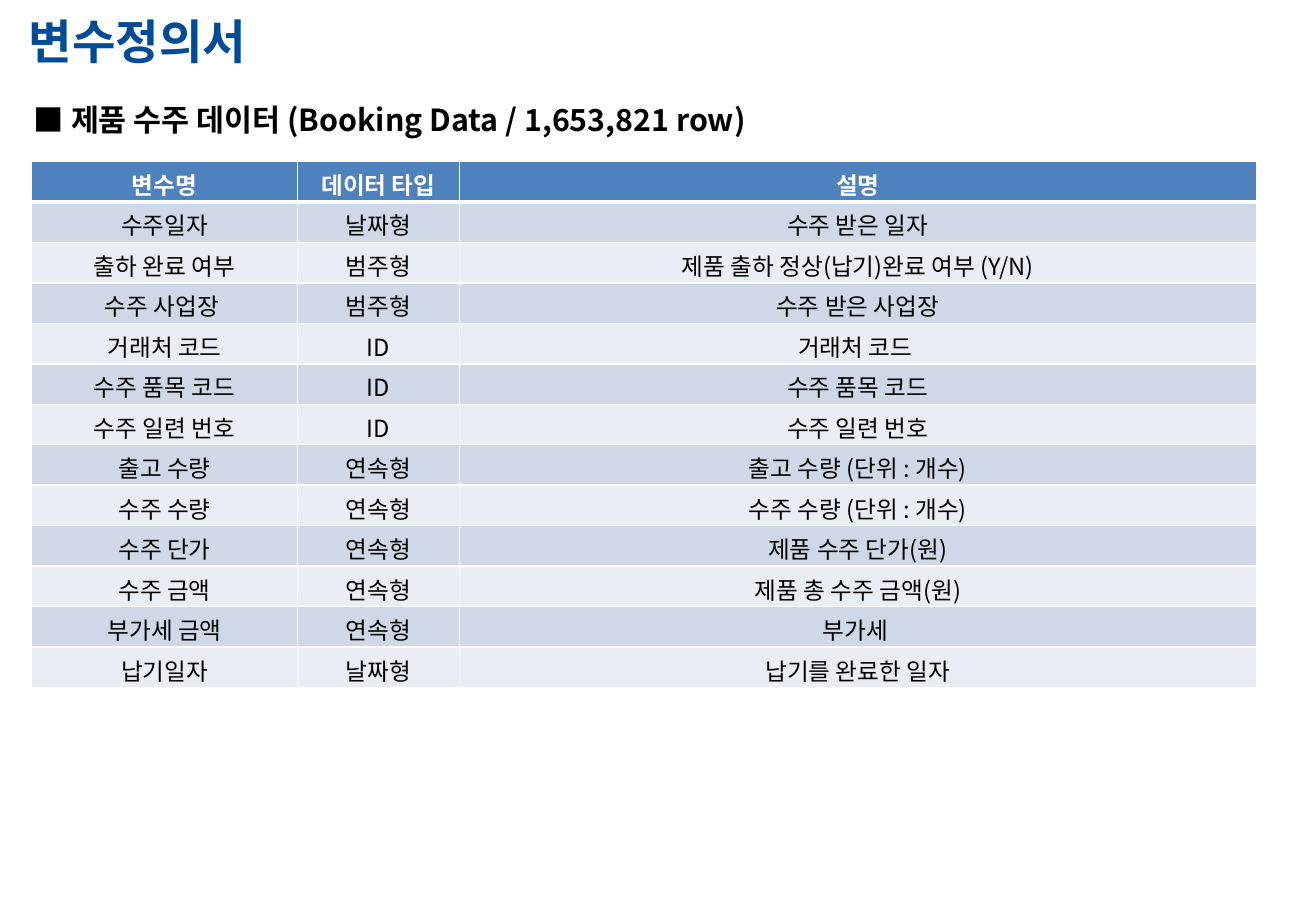
import lxml.etree
import pptx
import pptx.dml.color
import pptx.enum.text
import pptx.oxml.ns
import pptx.util

Inches = pptx.util.Inches
FONT = "Noto Sans CJK KR"
COLUMN_WIDTHS = [2.19, 1.33, 6.56]
VARIABLES = [
    ("변수명", "데이터 타입", "설명"),
    ("수주일자", "날짜형", "수주 받은 일자"),
    ("출하 완료 여부", "범주형", "제품 출하 정상(납기)완료 여부 (Y/N)"),
    ("수주 사업장 ", "범주형", "수주 받은 사업장"),
    ("거래처 코드", "ID", "거래처 코드 "),
    ("수주 품목 코드", "ID", "수주 품목 코드"),
    ("수주 일련 번호", "ID", "수주 일련 번호"),
    ("출고 수량", "연속형", "출고 수량 (단위 : 개수)"),
    ("수주 수량", "연속형", "수주 수량 (단위 : 개수)"),
    ("수주 단가", "연속형", "제품 수주 단가(원)"),
    ("수주 금액", "연속형", "제품 총 수주 금액(원)"),
    ("부가세 금액", "연속형", "부가세 "),
    ("납기일자", "날짜형", "납기를 완료한 일자"),
]


def rgb(color):
    return pptx.dml.color.RGBColor.from_string(color)


def add_element(parent, tag, **attributes):
    return lxml.etree.SubElement(parent, pptx.oxml.ns.qn(tag), **attributes)


def write(tf, text, size, color, bold):
    tf.vertical_anchor = pptx.enum.text.MSO_ANCHOR.MIDDLE
    p = tf.paragraphs[0]
    p.add_run().text = text
    p.font.name = FONT
    p.font.size = pptx.util.Pt(size)
    p.font.bold = bold
    p.font.color.rgb = rgb(color)
    default = p._p.pPr.find(pptx.oxml.ns.qn("a:defRPr"))
    add_element(default, "a:ea", typeface=FONT)
    return p


def add_heading(slide, box, text, size, color):
    tf = slide.shapes.add_textbox(*map(Inches, box)).text_frame
    tf.word_wrap = True
    tf.margin_top = tf.margin_bottom = 0
    write(tf, text, size, color, True)


def set_borders(cell, top, bottom):
    tcPr = cell._tc.get_or_add_tcPr()
    for side, width in (("L", 1), ("R", 1), ("T", top), ("B", bottom)):
        line = add_element(tcPr, "a:ln" + side, w=str(pptx.util.Pt(width)))
        fill = add_element(line, "a:solidFill")
        add_element(fill, "a:srgbClr", val="FFFFFF")


def fill_cell(cell, text, row):
    header = row == 0
    set_borders(cell, 3 if row == 1 else 1, 3 if header else 1)
    cell.fill.solid()
    cell.fill.fore_color.rgb = rgb(
        "4F81BD" if header else "D0D8E8" if row % 2 else "E9EDF4")
    cell.margin_top = Inches(0.04)
    cell.margin_bottom = 0
    cell.vertical_anchor = pptx.enum.text.MSO_ANCHOR.MIDDLE
    p = write(cell.text_frame, text, 14, "FFFFFF" if header else "000000", header)
    p.alignment = pptx.enum.text.PP_ALIGN.CENTER


def add_variable_table(slide, box):
    table = slide.shapes.add_table(
        len(VARIABLES), len(COLUMN_WIDTHS), *map(Inches, box)).table
    for column, width in zip(table.columns, COLUMN_WIDTHS):
        column.width = Inches(width)
    for i, values in enumerate(VARIABLES):
        table.rows[i].height = Inches(box[3] / len(VARIABLES))
        for j, text in enumerate(values):
            fill_cell(table.cell(i, j), text, i)


def main():
    prs = pptx.Presentation()
    prs.slide_width = Inches(10.83)
    prs.slide_height = Inches(7.5)
    slide = prs.slides.add_slide(prs.slide_layouts[6])
    add_heading(slide, (0.14, 0.05, 7.25, 0.57), "변수정의서", 28, "004B96")
    add_variable_table(slide, (0.26, 1.33, 10.08, 4.33))
    add_heading(slide, (0.18, 0.78, 7.66, 0.4),
                "■ 제품 수주 데이터 (Booking Data / 1,653,821 row)", 18, "000000")
    prs.save("out.pptx")


if __name__ == "__main__":
    main()
